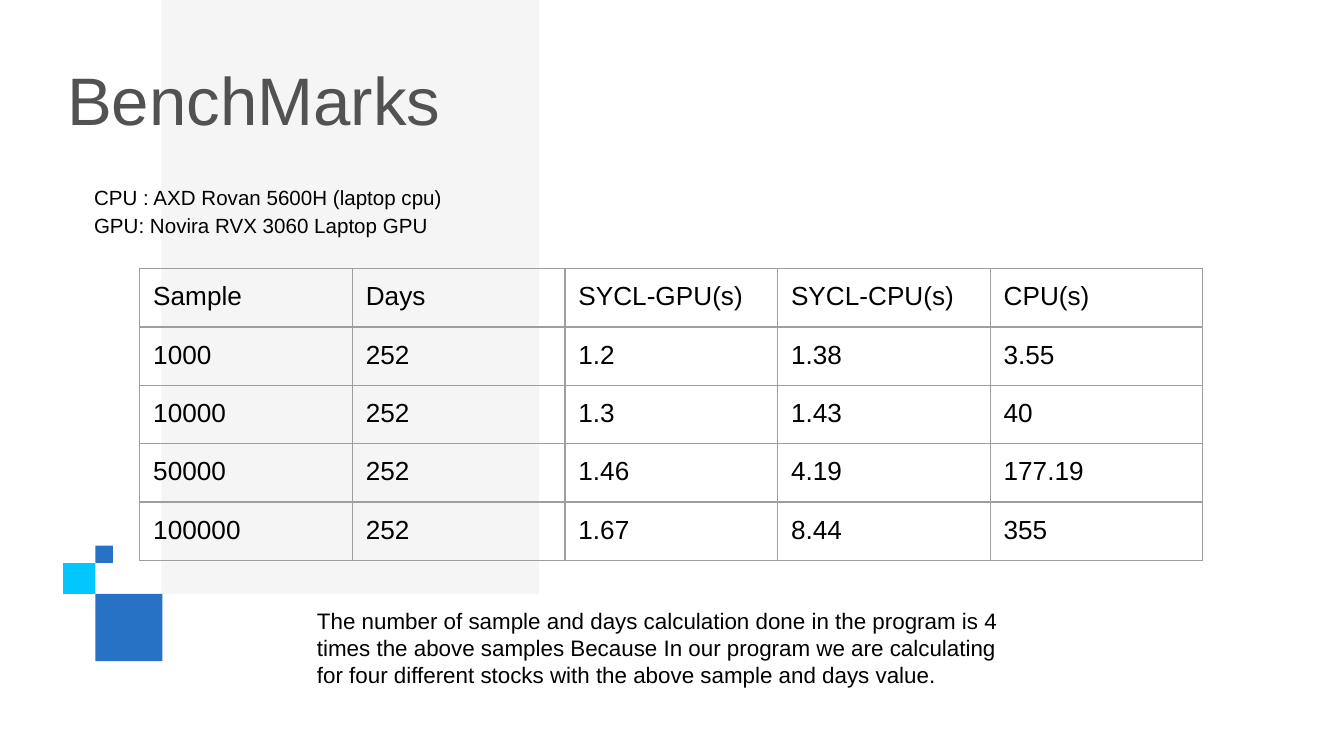
from dataclasses import dataclass

from lxml.etree import SubElement
from pptx import Presentation
from pptx.dml.color import RGBColor as RGB
from pptx.enum.shapes import MSO_SHAPE as Shape
from pptx.enum.text import MSO_ANCHOR as Anchor, PP_ALIGN as Align
from pptx.oxml import parse_xml
from pptx.oxml.ns import nsdecls, qn
from pptx.util import Inches, Pt


@dataclass(frozen=True)
class Theme:
    font: str = "Arial"
    ink: str = "000000"
    head: str = "525252"
    panel: str = "E7E7E7"
    blue: str = "2872C5"
    cyan: str = "00C7FD"
    rule: str = "9E9E9E"
    title: int = 36
    cell: int = 14
    note: int = 12
    small: int = 11


THEME = Theme()
PARTS = ["CPU : AXD Rovan 5600H (laptop cpu)", "GPU: Novira RVX 3060 Laptop GPU"]
ROWS = [
    ["Sample", "Days", "SYCL-GPU(s)", "SYCL-CPU(s)", "CPU(s)"],
    ["1000", "252", "1.2", "1.38", "3.55"],
    ["10000", "252", "1.3", "1.43", "40"],
    ["50000", "252", "1.46", "4.19", "177.19"],
    ["100000", "252", "1.67", "8.44", "355"],
]
NOTE = (
    "The number of sample and days calculation done in the program is 4 "
    "times the above samples Because In our program we are calculating "
    "for four different stocks with the above sample and days value."
)


def inches(box):
    return [Inches(n) for n in box]


def set_text(frame, lines, size, color, space=1.0):
    frame.text = "\n".join(lines)
    for para in frame.paragraphs:
        para.alignment = Align.LEFT
        para.line_spacing = space
        for run in para.runs:
            font = run.font
            font.name, font.size = THEME.font, Pt(size)
            font.color.rgb = RGB.from_string(color)


def set_pad(part, pad):
    """Pad a text frame or a table cell evenly and start its text at the top."""
    part.margin_left = part.margin_right = Inches(pad)
    part.margin_top = part.margin_bottom = Inches(pad)
    part.vertical_anchor = Anchor.TOP


def add_block(slide, box, color, alpha=None):
    block = slide.shapes.add_shape(Shape.RECTANGLE, *inches(box))
    block.shadow.inherit = False
    block.fill.solid()
    block.fill.fore_color.rgb = RGB.from_string(color)
    block.line.fill.background()
    if alpha:
        tint = block.fill._xPr.find(".//" + qn("a:srgbClr"))
        SubElement(tint, qn("a:alpha"), val=str(alpha * 1000))


def add_decor(slide, box):
    """Place the pale panel and the squares that step off its lower left corner."""
    x, y, w, h = box
    left, foot = x - 0.49, y + h
    add_block(slide, box, THEME.panel, alpha=39)
    add_block(slide, (left, foot, 0.5, 0.5), THEME.blue)
    add_block(slide, (left - 0.24, foot - 0.23, 0.24, 0.23), THEME.cyan)
    add_block(slide, (left, foot - 0.36, 0.13, 0.13), THEME.blue)


def add_title(slide, box, text):
    """Fill the title placeholder and lift it above the decor."""
    title = slide.shapes.title
    title.left, title.top, title.width, title.height = inches(box)
    frame = title.text_frame
    set_text(frame, [text], THEME.title, THEME.head, 0.9)
    set_pad(frame, 0)
    slide.shapes._spTree.append(title._element)


def add_text(slide, box, lines, size, pad, space=1.0):
    frame = slide.shapes.add_textbox(*inches(box)).text_frame
    frame.word_wrap = True
    set_text(frame, lines, size, THEME.ink, space)
    set_pad(frame, pad)


def set_border(cell):
    props = cell._tc.get_or_add_tcPr()
    for i, side in enumerate("LRTB"):
        line = parse_xml(
            f'<a:ln{side} {nsdecls("a")} w="{Pt(0.75)}"><a:solidFill>'
            f'<a:srgbClr val="{THEME.rule}"/></a:solidFill></a:ln{side}>'
        )
        props.insert(i, line)


def add_grid(slide, box, rows):
    shape = slide.shapes.add_table(len(rows), len(rows[0]), *inches(box))
    table = shape.table
    table.first_row = table.horz_banding = False
    for r, row in enumerate(rows):
        for c, text in enumerate(row):
            cell = table.cell(r, c)
            set_text(cell.text_frame, [text], THEME.cell, THEME.ink)
            set_pad(cell, 0.1)
            cell.fill.background()
            set_border(cell)


def add_bench(deck):
    slide = deck.slides.add_slide(deck.slide_layouts[5])
    add_decor(slide, (1.2, -0.02, 2.81, 4.44))
    add_title(slide, (0.5, 0.5, 9, 0.55), "BenchMarks")
    add_text(slide, (0.63, 1.28, 8.87, 0.55), PARTS, THEME.small, 0.07, 1.15)
    add_grid(slide, (1.04, 2, 7.91, 2.1), ROWS)
    add_text(slide, (2.26, 4.42, 5.48, 0.81), [NOTE], THEME.note, 0.1)


def main():
    deck = Presentation()
    deck.slide_width = Inches(10)
    deck.slide_height = deck.slide_width * 9 // 16
    add_bench(deck)
    deck.save("out.pptx")


if __name__ == "__main__":
    main()
